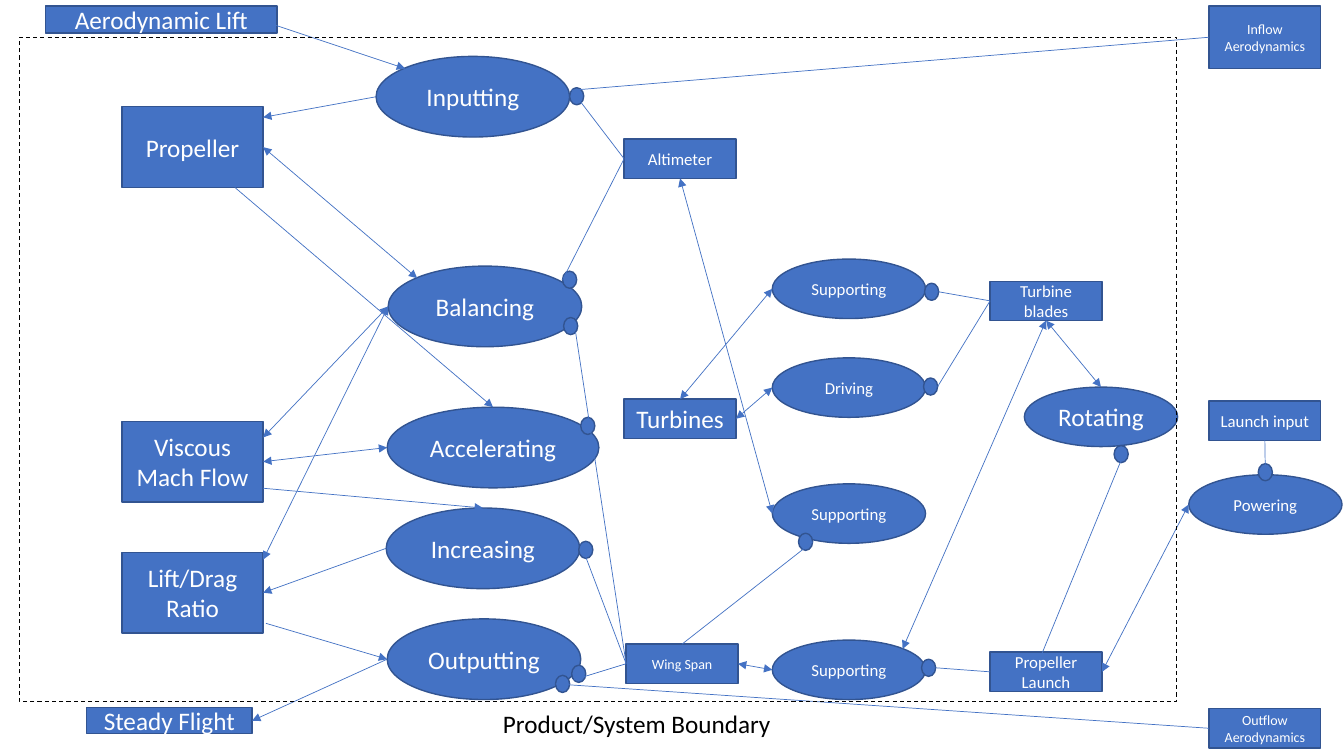
from dataclasses import dataclass

import pptx
import pptx.dml.color
import pptx.enum.dml
import pptx.enum.shapes
import pptx.enum.text
import pptx.oxml
import pptx.util
from lxml import etree

RGBColor = pptx.dml.color.RGBColor
BLUE = RGBColor(0x44, 0x72, 0xC4)
OUTLINE = RGBColor(0x32, 0x54, 0x91)
WHITE = RGBColor(0xFF, 0xFF, 0xFF)
BLACK = RGBColor(0, 0, 0)
FONT = "Calibri"

Kind = pptx.enum.shapes.MSO_SHAPE
RECT, OVAL, DOT = Kind.RECTANGLE, Kind.OVAL, Kind.FLOWCHART_CONNECTOR

# Grid of 13.33 columns by 7.5 rows
COLUMNS, ROWS = 13.33, 7.5
SLIDE_WIDTH, SLIDE_HEIGHT = pptx.util.Inches(COLUMNS), pptx.util.Inches(ROWS)


def x(columns: float) -> int:
    return round(columns * SLIDE_WIDTH / COLUMNS)


def y(rows: float) -> int:
    return round(rows * SLIDE_HEIGHT / ROWS)


# Attachment places, as shares of a shape's width and height
Place = tuple[float, float]
TOP, BOTTOM, LEFT, RIGHT = (0.5, 0), (0.5, 1), (0, 0.5), (1, 0.5)
TOP_LEFT, TOP_RIGHT = (0.15, 0.15), (0.85, 0.15)
BOTTOM_LEFT, BOTTOM_RIGHT = (0.15, 0.85), (0.85, 0.85)

# Shape sizes, in columns and rows
BIG_BOX, BOX = (1.4, 0.8), (1.11, 0.39)
BIG_OVAL, SMALL_OVAL = (1.92, 0.8), (1.52, 0.59)
DOT_SIZE = (0.14, 0.17)


@dataclass
class Node:
    key: str
    kind: Kind
    left: float
    top: float
    size: tuple[float, float]
    points: int = 18
    text: str = ""

    def at(self, place: Place) -> tuple[int, int]:
        return (x(self.left + place[0] * self.size[0]),
                y(self.top + place[1] * self.size[1]))


@dataclass
class Link:
    start: str
    start_place: Place
    end: str
    end_place: Place
    arrows: tuple[str, ...] = ()


ONE_WAY, TWO_WAY = ("tailEnd",), ("headEnd", "tailEnd")

NODES = [
    # Flows and objects on the left
    Node("lift", RECT, 0.45, 0.06, (2.3, 0.27), text="Aerodynamic Lift"),
    Node("propeller", RECT, 1.21, 1.06, BIG_BOX, text="Propeller"),
    Node("viscous", RECT, 1.21, 4.18, BIG_BOX, text="Viscous Mach Flow"),
    Node("ratio", RECT, 1.21, 5.48, BIG_BOX, text="Lift/Drag Ratio"),
    Node("steady", RECT, 0.86, 7.02, (1.64, 0.26), text="Steady Flight"),
    # Main processes
    Node("inputting", OVAL, 3.73, 0.56, BIG_OVAL, text="Inputting"),
    Node("balancing", OVAL, 3.85, 2.64, BIG_OVAL, text="Balancing"),
    Node("accelerating", OVAL, 3.84, 4.04, (2.1, 0.8), text="Accelerating"),
    Node("increasing", OVAL, 3.83, 5.04, BIG_OVAL, text="Increasing"),
    Node("outputting", OVAL, 3.84, 6.14, BIG_OVAL, text="Outputting"),
    # Parts
    Node("altimeter", RECT, 6.19, 1.38, BOX, 12, "Altimeter"),
    Node("turbines", RECT, 6.19, 3.96, BOX, 18, "Turbines"),
    Node("wing", RECT, 6.21, 6.39, BOX, 10, "Wing Span"),
    Node("blades", RECT, 9.82, 2.79, BOX, 12, "Turbine blades"),
    Node("launch", RECT, 9.82, 6.47, BOX, 12, "Propeller Launch"),
    # Part processes
    Node("support turbines", OVAL, 7.66, 2.57, SMALL_OVAL, 12, "Supporting"),
    Node("driving", OVAL, 7.66, 3.55, SMALL_OVAL, 12, "Driving"),
    Node("support altimeter", OVAL, 7.66, 4.8, SMALL_OVAL, 12, "Supporting"),
    Node("support wing", OVAL, 7.66, 6.35, SMALL_OVAL, 12, "Supporting"),
    Node("rotating", OVAL, 10.16, 3.84, SMALL_OVAL, 18, "Rotating"),
    # Outside the boundary
    Node("powering", OVAL, 11.79, 4.71, SMALL_OVAL, 12, "Powering"),
    Node("launch input", RECT, 11.99, 3.98, BOX, 12, "Launch input"),
    Node("outflow", RECT, 11.99, 7.03, BOX, 10, "Outflow Aerodynamics"),
    Node("inflow", RECT, 11.99, 0.06, (1.11, 0.62), 10, "Inflow Aerodynamics"),
    # Instrument dots
    *(Node(key, DOT, left, top, DOT_SIZE) for key, left, top in [
        ("inputting dot", 5.65, 0.87),
        ("balancing upper dot", 5.58, 2.69),
        ("balancing lower dot", 5.59, 3.15),
        ("accelerating dot", 5.76, 4.14),
        ("increasing dot", 5.74, 5.37),
        ("outputting upper dot", 5.67, 6.6),
        ("outputting lower dot", 5.51, 6.7),
        ("turbines dot", 9.17, 2.81),
        ("driving dot", 9.16, 3.75),
        ("altimeter dot", 7.92, 5.29),
        ("wing dot", 9.14, 6.54),
        ("rotating dot", 11.05, 4.42),
        ("powering dot", 12.48, 4.6),
    ]),
]

LINKS = [
    # Left flows and main processes
    Link("lift", (0.98, 0.67), "inputting", TOP_LEFT, ONE_WAY),
    Link("inputting", LEFT, "propeller", (1, 0.13), ONE_WAY),
    Link("propeller", RIGHT, "balancing", TOP_LEFT, TWO_WAY),
    Link("propeller", (0.8, 1), "accelerating", TOP, ONE_WAY),
    Link("viscous", (1, 0.2), "balancing", LEFT, TWO_WAY),
    Link("viscous", RIGHT, "accelerating", LEFT, TWO_WAY),
    Link("viscous", (1, 0.83), "increasing", TOP, ONE_WAY),
    Link("ratio", (1, 0.09), "balancing", LEFT, TWO_WAY),
    Link("increasing", LEFT, "ratio", RIGHT, ONE_WAY),
    Link("ratio", (1.02, 0.88), "outputting", LEFT, ONE_WAY),
    Link("outputting", LEFT, "steady", RIGHT, ONE_WAY),
    # Main processes and their instruments
    Link("inputting dot", TOP_LEFT, "inflow", RIGHT[::-1] and LEFT),
    Link("altimeter", LEFT, "inputting dot", TOP_LEFT),
    Link("balancing upper dot", LEFT, "altimeter", LEFT),
    Link("wing", LEFT, "balancing lower dot", BOTTOM_RIGHT),
    Link("wing", LEFT, "increasing dot", TOP_LEFT),
    Link("outputting upper dot", BOTTOM_LEFT, "wing", LEFT),
    Link("outputting lower dot", LEFT, "outflow", LEFT),
    # Parts and part processes
    Link("support altimeter", LEFT, "altimeter", BOTTOM, TWO_WAY),
    Link("turbines", TOP, "support turbines", LEFT, TWO_WAY),
    Link("turbines", RIGHT, "driving", LEFT, TWO_WAY),
    Link("wing", RIGHT, "support wing", LEFT, TWO_WAY),
    Link("wing", TOP, "altimeter dot", RIGHT),
    Link("turbines dot", RIGHT, "blades", LEFT),
    Link("driving dot", RIGHT, "blades", LEFT),
    Link("wing dot", RIGHT, "launch", LEFT),
    Link("support wing", TOP_RIGHT, "blades", BOTTOM, TWO_WAY),
    Link("blades", BOTTOM, "rotating", TOP, TWO_WAY),
    Link("launch", (0.45, 0.13), "rotating dot", TOP_RIGHT),
    Link("launch", RIGHT, "powering", LEFT, TWO_WAY),
    Link("powering", TOP, "launch input", BOTTOM),
]
LINKS[11].end_place = LEFT


def add_node(shapes, node: Node) -> None:
    width, height = node.size
    shape = shapes.add_shape(node.kind, x(node.left), y(node.top), x(width), y(height))
    shape.shadow.inherit = False
    shape.fill.solid()
    shape.fill.fore_color.rgb = BLUE
    shape.line.color.rgb = OUTLINE
    shape.line.width = pptx.util.Pt(1)
    if node.text:
        write(shape.text_frame, node.text, node.points, WHITE)
        shape.text_frame.paragraphs[0].alignment = pptx.enum.text.PP_ALIGN.CENTER


def write(frame, text: str, points: int, color: RGBColor) -> None:
    frame.text = text
    frame.word_wrap = True
    font = frame.paragraphs[0].font
    font.name, font.size, font.color.rgb = FONT, pptx.util.Pt(points), color


def add_link(shapes, link: Link, nodes: dict[str, Node]) -> None:
    line = shapes.add_connector(
        pptx.enum.shapes.MSO_CONNECTOR.STRAIGHT,
        *nodes[link.start].at(link.start_place), *nodes[link.end].at(link.end_place))
    line.line.color.rgb = BLUE
    line.line.width = pptx.util.Pt(0.5)
    for arrow in link.arrows:
        etree.SubElement(line.line._get_or_add_ln(), pptx.oxml.ns.qn(f"a:{arrow}"), type="triangle")
    etree.SubElement(line._element.spPr, pptx.oxml.ns.qn("a:effectLst"))


def add_boundary(shapes) -> None:
    boundary = shapes.add_shape(RECT, x(0.19), y(0.37), x(11.48), y(6.59))
    boundary.shadow.inherit = False
    boundary.fill.background()
    boundary.line.color.rgb = BLACK
    boundary.line.width = pptx.util.Pt(0.75)
    boundary.line.dash_style = pptx.enum.dml.MSO_LINE.DASH
    caption = shapes.add_textbox(x(4.89), y(6.98), x(3.81), y(0.4))
    write(caption.text_frame, "Product/System Boundary", 18, BLACK)


presentation = pptx.Presentation()
presentation.slide_width, presentation.slide_height = SLIDE_WIDTH, SLIDE_HEIGHT
diagram = presentation.slides.add_slide(presentation.slide_layouts[6]).shapes
for node in NODES:
    add_node(diagram, node)
nodes_by_key = {node.key: node for node in NODES}
for link in LINKS:
    add_link(diagram, link, nodes_by_key)
add_boundary(diagram)
presentation.save("out.pptx")
